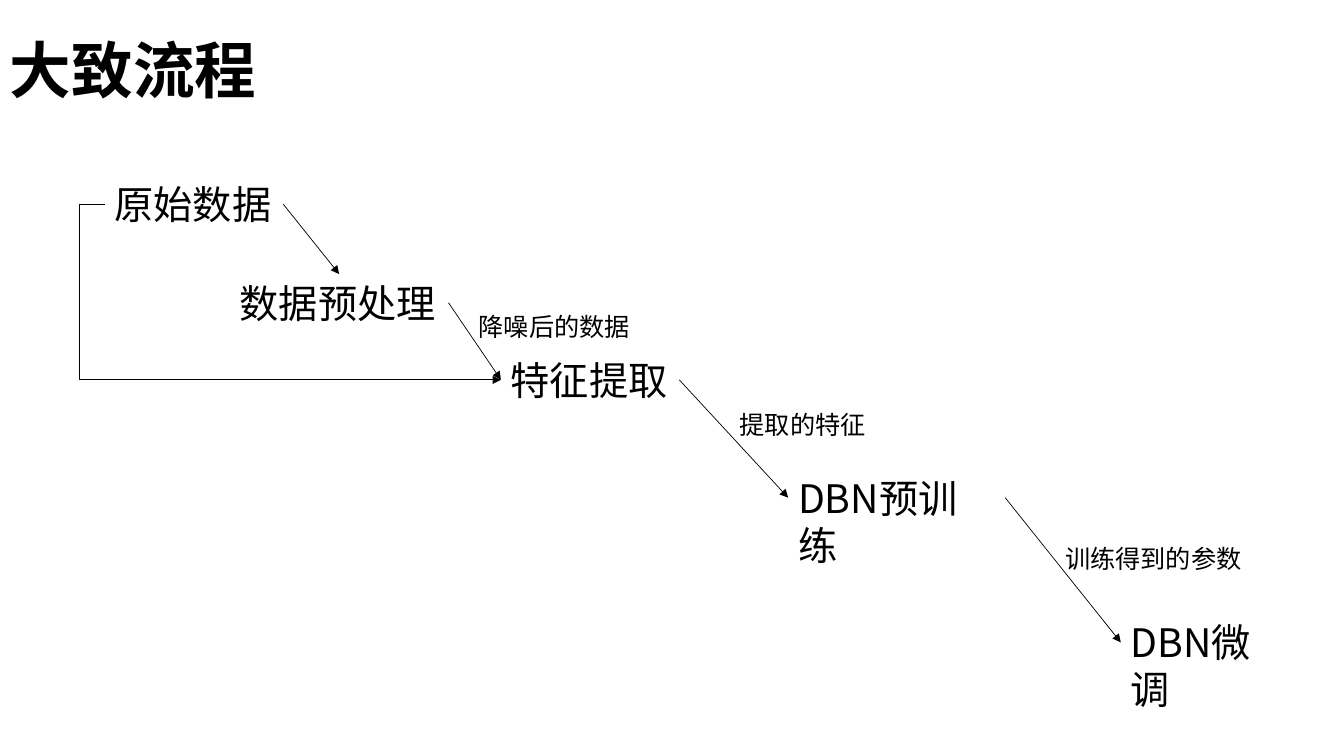
from lxml import etree
from pptx import Presentation
from pptx.dml.color import RGBColor
from pptx.enum.shapes import MSO_CONNECTOR
from pptx.enum.text import MSO_ANCHOR
from pptx.oxml.ns import qn
from pptx.util import Pt

STRAIGHT = MSO_CONNECTOR.STRAIGHT
ELBOW = MSO_CONNECTOR.ELBOW
MIDDLE = MSO_ANCHOR.MIDDLE
TOP, LEFT, RIGHT = 0, 1, 3

COLORS = {"ink": "000000", "background": "FFFFFF"}
FONT = "Noto Sans CJK SC"
STEP_HEIGHT, STEP_SIZE = 41, 28
LABEL_HEIGHT, LABEL_SIZE = 28.8, 18

STEPS = [
    ("原始数据", 74.9, 125.3, 127.4),
    ("数据预处理", 164.2, 195.8, 156.2),
    ("特征提取", 357.8, 250.8, 127.4),
    ("DBN预训练", 563, 335, 155),
    ("DBN微调", 800.6, 438.4, 126.7),
]
LABELS = [
    ("降噪后的数据", 334.8, 218.9, 123.8),
    ("提取的特征", 521.3, 288.7, 105.2),
    ("训练得到的参数", 753.8, 384.5, 141.8),
]


def color(name):
    return RGBColor.from_string(COLORS[name])


def add_text(slide, text, left, top, width, height, size):
    shape = slide.shapes.add_textbox(Pt(left), Pt(top), Pt(width), Pt(height))
    shape.text_frame.word_wrap = True
    paragraph = shape.text_frame.paragraphs[0]
    run = paragraph.add_run()
    run.text = text
    run.font.name = FONT
    etree.SubElement(run.font._element, qn("a:ea"), typeface=FONT)
    paragraph.font.size = Pt(size)
    paragraph.font.color.rgb = color("ink")
    return shape


def add_title(slide, text):
    shape = add_text(slide, text, 0, 0, 828, 104.4, 44)
    shape.text_frame.vertical_anchor = MIDDLE
    paragraph = shape.text_frame.paragraphs[0]
    paragraph.font.bold = True
    paragraph.line_spacing = 0.9


def add_arrow(slide, kind, source, source_side, target, target_side):
    connector = slide.shapes.add_connector(kind, 0, 0, 0, 0)
    connector.begin_connect(source, source_side)
    connector.end_connect(target, target_side)
    connector.line.color.rgb = color("ink")
    connector.line.width = Pt(0.5)
    line = connector.line._get_or_add_ln()
    etree.SubElement(line, qn("a:tailEnd"), type="triangle")
    etree.SubElement(connector._element.spPr, qn("a:effectLst"))
    return connector


def set_bend(connector, share):
    geometry = connector._element.spPr.find(qn("a:prstGeom"))
    adjustments = geometry.find(qn("a:avLst"))
    value = f"val {round(share * 100000)}"
    etree.SubElement(adjustments, qn("a:gd"), name="adj1", fmla=value)


def main():
    presentation = Presentation()
    presentation.slide_width = Pt(960)
    presentation.slide_height = Pt(540)
    slide = presentation.slides.add_slide(presentation.slide_layouts[6])
    slide.background.fill.solid()
    slide.background.fill.fore_color.rgb = color("background")

    add_title(slide, "大致流程")
    steps = [add_text(slide, *step, STEP_HEIGHT, STEP_SIZE) for step in STEPS]
    for label in LABELS:
        add_text(slide, *label, LABEL_HEIGHT, LABEL_SIZE)

    raw_data, preprocessing, features = steps[:3]
    add_arrow(slide, STRAIGHT, raw_data, RIGHT, preprocessing, TOP)
    for source, target in zip(steps[1:], steps[2:]):
        add_arrow(slide, STRAIGHT, source, RIGHT, target, LEFT)
    bypass = add_arrow(slide, ELBOW, raw_data, LEFT, features, LEFT)
    set_bend(bypass, -0.064)

    presentation.save("out.pptx")


if __name__ == "__main__":
    main()
